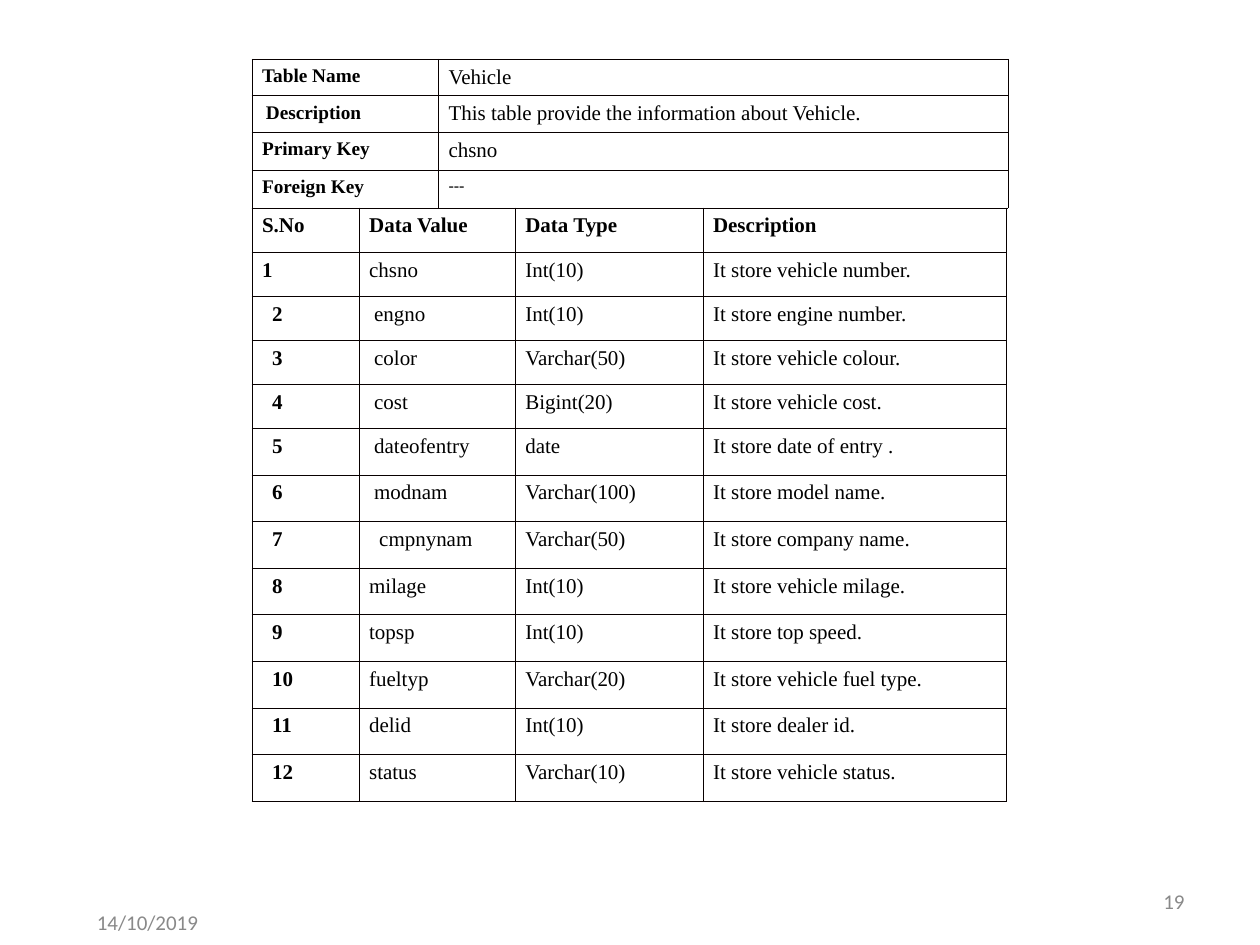
from dataclasses import dataclass

from lxml.etree import SubElement
from pptx import Presentation
from pptx.dml.color import RGBColor
from pptx.enum.text import MSO_ANCHOR, PP_ALIGN
from pptx.oxml.ns import qn
from pptx.util import Inches, Pt


@dataclass(frozen=True)
class Theme:
    ink: str = "000000"
    border: str = "080000"
    muted: str = "898989"
    serif: str = "Times New Roman"
    sans: str = "Calibri"
    body: float = 12
    label: float = 11
    small: float = 10
    border_width: float = 0.45


THEME = Theme()


@dataclass(frozen=True)
class Entry:
    text: str
    bold: bool = False
    size: float = THEME.body
    font: str = THEME.serif
    color: str = THEME.ink
    indent: float = 0


@dataclass(frozen=True)
class Grid:
    left: float
    top: float
    column_widths: list[float]
    row_heights: list[float]
    rows: list[list[Entry]]


@dataclass(frozen=True)
class Footer:
    text: str
    left: float
    top: float
    alignment: PP_ALIGN


def label(text: str, indent: float = 0) -> Entry:
    return Entry(text, bold=True, size=THEME.label, indent=indent)


SUMMARY = Grid(2, 0.47, [1.48, 4.52], [0.29, 0.29, 0.3, 0.3], [
    [label("Table Name"), Entry("Vehicle")],
    [label("Description", 0.03),
     Entry("This table provide the information about Vehicle.")],
    [label("Primary Key"), Entry("chsno")],
    [label("Foreign Key"), Entry("---", size=THEME.small, font=THEME.sans)],
])

HEADINGS = ["S.No", "Data Value", "Data Type", "Description"]

# Name, indent of the name, data type, description
FIELDS = [
    ("chsno", 0, "Int(10)", "It store vehicle number."),
    ("engno", 0.04, "Int(10)", "It store engine number."),
    ("color", 0.04, "Varchar(50)", "It store vehicle colour."),
    ("cost", 0.04, "Bigint(20)", "It store vehicle cost."),
    ("dateofentry", 0.04, "date", "It store date of entry ."),
    ("modnam", 0.04, "Varchar(100)", "It store model name."),
    ("cmpnynam", 0.08, "Varchar(50)", "It store company name."),
    ("milage", 0, "Int(10)", "It store vehicle milage."),
    ("topsp", 0, "Int(10)", "It store top speed."),
    ("fueltyp", 0, "Varchar(20)", "It store vehicle fuel type."),
    ("delid", 0, "Int(10)", "It store dealer id."),
    ("status", 0, "Varchar(10)", "It store vehicle status."),
]

FIELD_GRID = Grid(
    2, 1.65, [0.85, 1.24, 1.49, 2.41], [0.35] * 5 + [0.37] * 8,
    [[Entry(heading, bold=True) for heading in HEADINGS]] + [
        [Entry(str(number), bold=True, indent=0.08 if number > 1 else 0),
         Entry(name, indent=indent), Entry(data_type), Entry(description)]
        for number, (name, indent, data_type, description)
        in enumerate(FIELDS, start=1)
    ],
)

FOOTERS = [
    Footer("19", 7.17, 6.95, PP_ALIGN.RIGHT),
    Footer("14/10/2019", 0.67, 7.12, PP_ALIGN.LEFT),
]


def write(paragraph, entry: Entry) -> None:
    run = paragraph.add_run()
    run.text = entry.text
    run.font.name = entry.font
    run.font.size = Pt(entry.size)
    run.font.bold = entry.bold
    run.font.color.rgb = RGBColor.from_string(entry.color)


def draw_borders(cell) -> None:
    properties = cell._tc.get_or_add_tcPr()
    for side in ("lnL", "lnR", "lnT", "lnB"):
        line = SubElement(properties, qn(f"a:{side}"),
                          w=str(Pt(THEME.border_width)))
        fill = SubElement(line, qn("a:solidFill"))
        SubElement(fill, qn("a:srgbClr"), val=THEME.border)


def draw_cell(cell, entry: Entry) -> None:
    cell.margin_left = Inches(0.08 + entry.indent)
    cell.margin_right = Inches(0.08)
    cell.margin_top = cell.margin_bottom = Inches(0.05)
    draw_borders(cell)
    cell.fill.background()
    write(cell.text_frame.paragraphs[0], entry)


def draw_grid(slide, grid: Grid) -> None:
    table = slide.shapes.add_table(
        len(grid.rows), len(grid.column_widths),
        Inches(grid.left), Inches(grid.top),
        Inches(sum(grid.column_widths)), Inches(sum(grid.row_heights)),
    ).table
    table.first_row = table.horz_banding = False
    for column, width in zip(table.columns, grid.column_widths):
        column.width = Inches(width)
    for row, height, entries in zip(table.rows, grid.row_heights, grid.rows):
        row.height = Inches(height)
        for cell, entry in zip(row.cells, entries):
            draw_cell(cell, entry)


def draw_footer(slide, footer: Footer) -> None:
    frame = slide.shapes.add_textbox(
        Inches(footer.left), Inches(footer.top), Inches(2.33), Inches(0.4)
    ).text_frame
    frame.word_wrap = True
    frame.vertical_anchor = MSO_ANCHOR.MIDDLE
    paragraph = frame.paragraphs[0]
    paragraph.alignment = footer.alignment
    write(paragraph, Entry(footer.text, font=THEME.sans, color=THEME.muted))


def main() -> None:
    presentation = Presentation()
    presentation.slide_width = Inches(10)
    presentation.slide_height = Inches(7.5)
    slide = presentation.slides.add_slide(presentation.slide_layouts[6])
    for grid in (SUMMARY, FIELD_GRID):
        draw_grid(slide, grid)
    for footer in FOOTERS:
        draw_footer(slide, footer)
    presentation.save("out.pptx")


if __name__ == "__main__":
    main()
